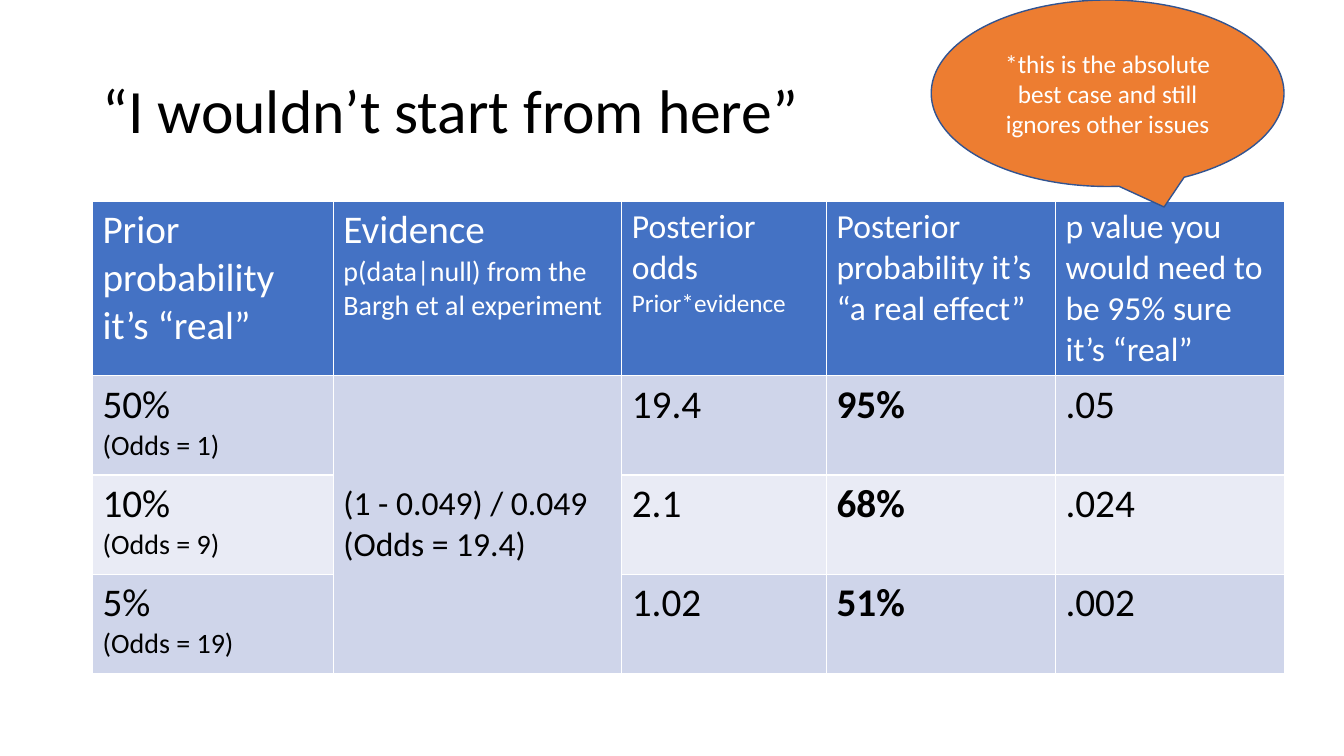
from dataclasses import dataclass

from pptx import Presentation
from pptx import util as u
from pptx.dml.color import RGBColor
from pptx.enum import shapes, text

BLACK = RGBColor(0x00, 0x00, 0x00)
WHITE = RGBColor(0xFF, 0xFF, 0xFF)
BLUE = RGBColor(0x44, 0x72, 0xC4)
NAVY = RGBColor(0x32, 0x54, 0x91)
ORANGE = RGBColor(0xED, 0x7D, 0x31)
DARK = RGBColor(0xCF, 0xD5, 0xEA)
LIGHT = RGBColor(0xE9, 0xEB, 0xF5)
FONT = "Calibri"


@dataclass(frozen=True)
class Line:
    text: str
    size: int = 28
    bold: bool = False


@dataclass(frozen=True)
class Case:
    prior: str
    odds: str
    post: str
    prob: str
    value: str


HEADS = [
    [Line("Prior probability it’s “real”")],
    [Line("Evidence"), Line("p(data|null) from the Bargh et al experiment", 20)],
    [Line("Posterior odds", 24), Line("Prior*evidence", 18)],
    [Line("Posterior probability it’s “a real effect”", 24)],
    [Line("p value you would need to be 95% sure it’s “real”", 24)],
]
PROOF = [Line("(1 - 0.049) / 0.049", 24), Line("(Odds = 19.4)", 24)]
CASES = [
    Case("50%", "(Odds = 1)", "19.4", "95%", ".05"),
    Case("10%", "(Odds = 9)", "2.1", "68%", ".024"),
    Case("5%", "(Odds = 19)", "1.02", "51%", ".002"),
]
WIDTHS = [6.07, 7.27, 5.16, 5.77, 5.77]
HEIGHTS = [4.32, 2.5, 2.5, 2.5]


def write(frame, lines: list[Line], color: RGBColor) -> None:
    frame.text = "\n".join(line.text for line in lines)
    for para, line in zip(frame.paragraphs, lines):
        for run in para.runs:
            run.font.name = FONT
            run.font.size = u.Pt(line.size)
            run.font.bold = line.bold
            run.font.color.rgb = color


def paint(shape, color: RGBColor) -> None:
    shape.fill.solid()
    shape.fill.fore_color.rgb = color


def add_title(slide) -> None:
    title = slide.shapes.title
    title.left, title.top = u.Cm(2.33), u.Cm(1.01)
    title.width, title.height = u.Cm(29.21), u.Cm(3.68)
    frame = title.text_frame
    write(frame, [Line("“I wouldn’t start from here”", 44)], BLACK)
    frame.auto_size = text.MSO_AUTO_SIZE.NONE
    frame.vertical_anchor = text.MSO_ANCHOR.MIDDLE
    frame.paragraphs[0].alignment = text.PP_ALIGN.LEFT
    frame.paragraphs[0].line_spacing = 0.9


def add_odds(slide) -> None:
    table = slide.shapes.add_table(
        len(HEIGHTS), len(WIDTHS), u.Cm(2.33), u.Cm(5.08),
        u.Cm(sum(WIDTHS)), u.Cm(sum(HEIGHTS)),
    ).table
    for col, width in zip(table.columns, WIDTHS):
        col.width = u.Cm(width)
    for row, height in zip(table.rows, HEIGHTS):
        row.height = u.Cm(height)

    rows = [HEADS] + [
        [
            [Line(case.prior), Line(case.odds, 20)],
            [],
            [Line(case.post)],
            [Line(case.prob, bold=True)],
            [Line(case.value)],
        ]
        for case in CASES
    ]
    for r, cells in enumerate(rows):
        fill = BLUE if r == 0 else DARK if r % 2 else LIGHT
        for c, lines in enumerate(cells):
            cell = table.cell(r, c)
            paint(cell, fill)
            write(cell.text_frame, lines, WHITE if r == 0 else BLACK)

    proof = table.cell(1, 1)
    proof.merge(table.cell(len(CASES), 1))
    proof.vertical_anchor = text.MSO_ANCHOR.MIDDLE
    write(proof.text_frame, PROOF, BLACK)


def add_note(slide) -> None:
    note = slide.shapes.add_shape(
        shapes.MSO_SHAPE.OVAL_CALLOUT, u.Cm(23.47), u.Cm(0), u.Cm(8.89), u.Cm(4.7)
    )
    note.adjustments[0], note.adjustments[1] = 0.16, 0.61
    note.shadow.inherit = False
    paint(note, ORANGE)
    note.line.color.rgb = NAVY
    note.line.width = u.Pt(1)
    frame = note.text_frame
    frame.word_wrap = True
    frame.vertical_anchor = text.MSO_ANCHOR.MIDDLE
    words = "*this is the absolute best case and still ignores other issues"
    write(frame, [Line(words, 18)], WHITE)
    frame.paragraphs[0].alignment = text.PP_ALIGN.CENTER


def main() -> None:
    deck = Presentation()
    deck.slide_width, deck.slide_height = u.Cm(33.87), u.Cm(19.05)
    slide = deck.slides.add_slide(deck.slide_layouts[5])
    add_title(slide)
    add_odds(slide)
    add_note(slide)
    deck.save("out.pptx")


if __name__ == "__main__":
    main()
